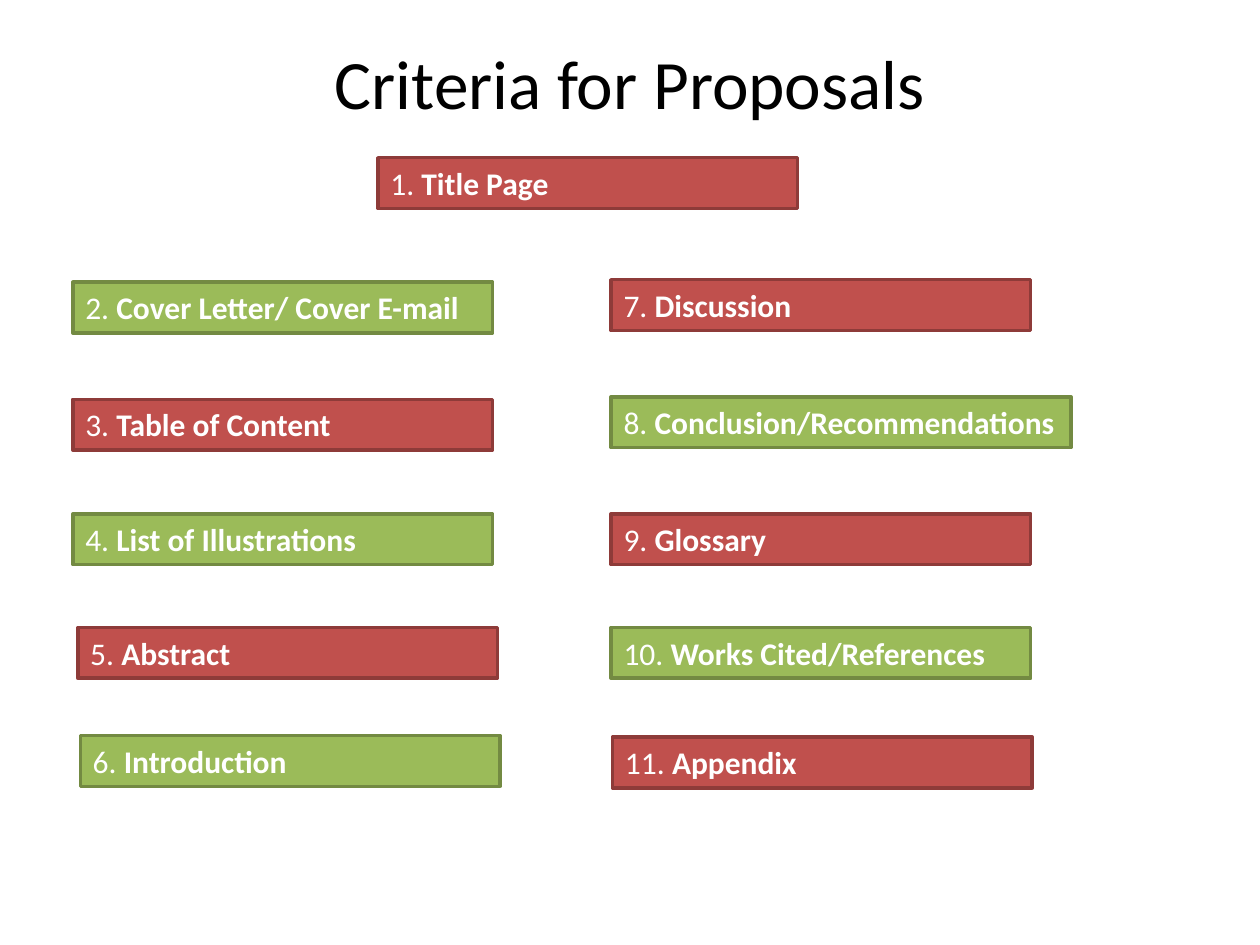
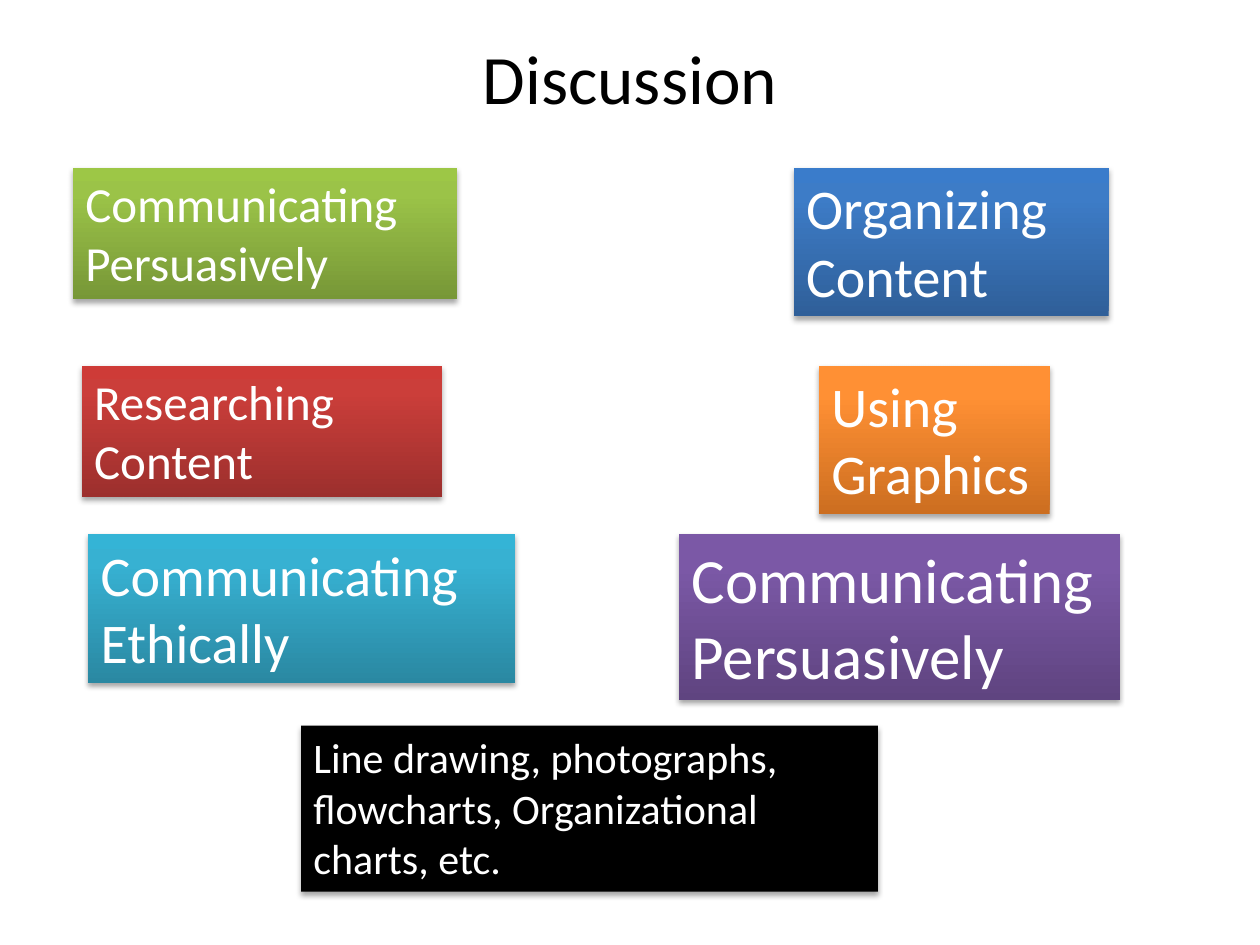
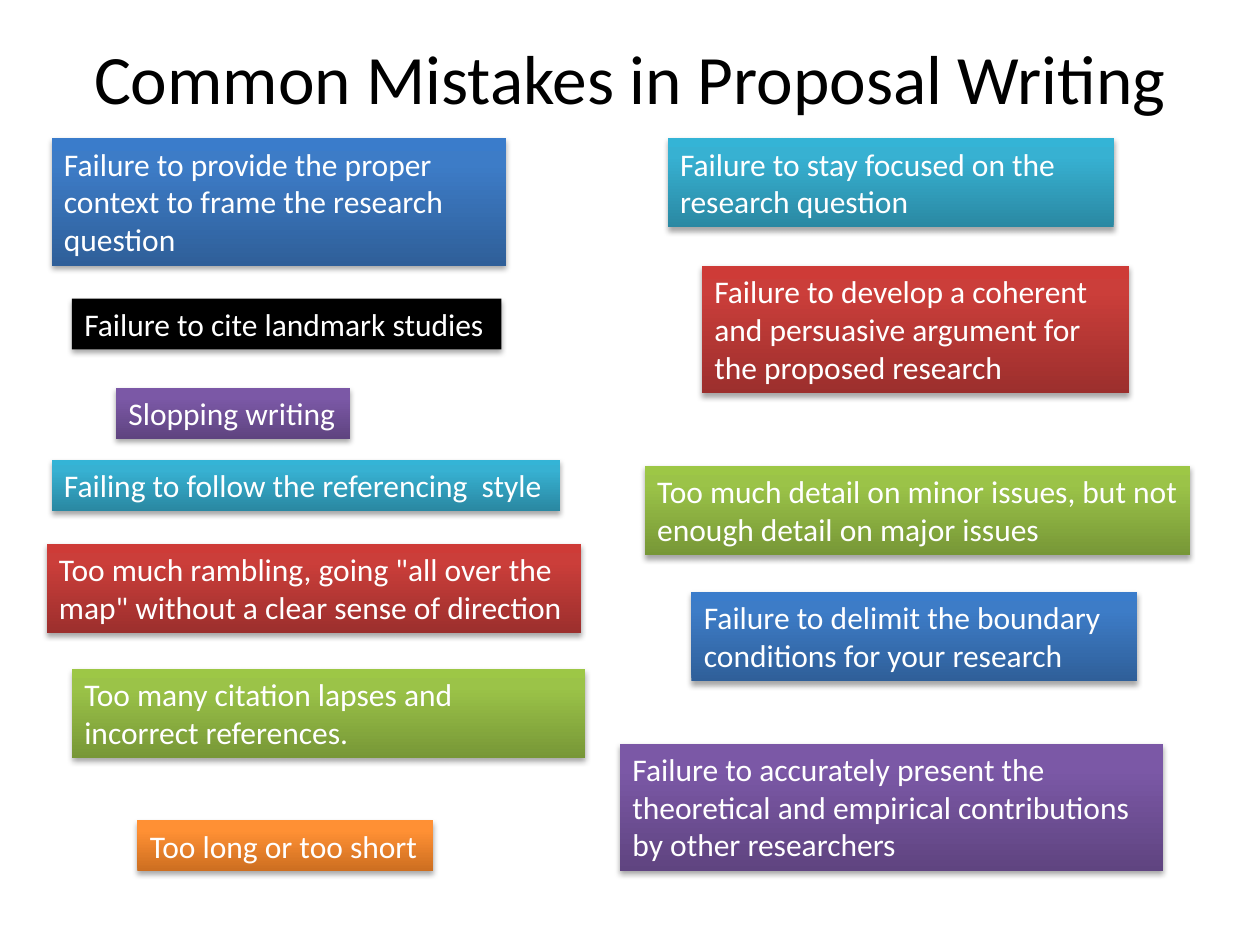
import pptx
import pptx.dml.color
import pptx.enum.shapes
import pptx.enum.text
import pptx.oxml
import pptx.oxml.ns
import pptx.util
from pptx.util import Cm

FONT = "Calibri"
INK = "000000"
WHITE = "FFFFFF"
RED = ("C0504D", "8E3B39")
GREEN = ("9BBB59", "738A42")
TONES = {
    "green": ("779737", "9BC348", "9DC746"),
    "red": ("9C2F2D", "CB3E3A", "CE3B37"),
    "orange": ("CC6E20", "FF9034", "FF9136"),
    "purple": ("5F4480", "7B58A6", "7C57A8"),
    "cyan": ("2A88A2", "37B1D2", "34B4D6"),
    "blue": ("2F5F99", "3D7CC7", "3A7CCB"),
}
STOPS = (0, 80000, 100000)
LEFT = pptx.enum.text.PP_ALIGN.LEFT
CENTER = pptx.enum.text.PP_ALIGN.CENTER


def paint(hue):
    return pptx.dml.color.RGBColor.from_string(hue)


def write(frame, *parts, size=18, color=WHITE, align=LEFT, bold=False, wrap=True):
    frame.word_wrap = wrap
    frame.vertical_anchor = pptx.enum.text.MSO_ANCHOR.TOP
    para = frame.paragraphs[0]
    para.alignment = align
    for index, part in enumerate(parts):
        run = para.add_run()
        run.text = part
        run.font.name = FONT
        run.font.size = pptx.util.Pt(size)
        run.font.color.rgb = paint(color)
        run.font.bold = bold and index == len(parts) - 1


def tall(lines, size):
    return 0.25 + lines * size * 0.043


def block(slide, box):
    kind = pptx.enum.shapes.MSO_SHAPE.RECTANGLE
    shape = slide.shapes.add_shape(kind, *map(Cm, box))
    shape.shadow.inherit = False
    shape.text_frame.auto_size = pptx.enum.text.MSO_AUTO_SIZE.SHAPE_TO_FIT_TEXT
    return shape


def element(xml):
    return pptx.oxml.parse_xml(xml.replace(">", f" {pptx.oxml.ns.nsdecls('a')}>", 1))


def shade(shape, tone):
    stops = "".join(
        f'<a:gs pos="{place}"><a:srgbClr val="{hue}"/></a:gs>'
        for place, hue in zip(STOPS, TONES[tone])
    )
    fill = element(
        f'<a:gradFill rotWithShape="1"><a:gsLst>{stops}</a:gsLst>'
        '<a:lin ang="16200000" scaled="0"/></a:gradFill>'
    )
    shape._element.spPr.find(pptx.oxml.ns.qn("a:prstGeom")).addnext(fill)


def drop(shape):
    glow = shape._element.spPr.find(pptx.oxml.ns.qn("a:effectLst"))
    glow.append(element(
        '<a:outerShdw blurRad="40000" dist="23000" dir="5400000" rotWithShape="0">'
        f'<a:srgbClr val="{INK}"><a:alpha val="35000"/></a:srgbClr></a:outerShdw>'
    ))


def title(slide, text, height=1.57):
    frame = slide.shapes.add_textbox(*map(Cm, (1.27, 0.76, 22.86, height))).text_frame
    write(frame, text, size=39.6, color=INK, align=CENTER)
    frame.vertical_anchor = pptx.enum.text.MSO_ANCHOR.MIDDLE


def column(slide, box, first, items):
    left, top, width = box
    for number, (label, right, down, extra) in enumerate(items, first):
        shape = block(slide, (left + right, top + down, width + extra, tall(1, 18)))
        fill, edge = RED if number % 2 else GREEN
        shape.fill.solid()
        shape.fill.fore_color.rgb = paint(fill)
        shape.line.color.rgb = paint(edge)
        shape.line.width = pptx.util.Pt(2)
        write(shape.text_frame, f"{number}. ", label, bold=True)


def tiles(slide, box, items):
    left, top = box
    for tone, text, right, down, width, lines, size in items:
        shape = block(slide, (left + right, top + down, width, tall(lines, size)))
        shape.line.fill.background()
        if tone in TONES:
            shade(shape, tone)
        else:
            shape.fill.solid()
            shape.fill.fore_color.rgb = paint(INK)
        drop(shape)
        write(shape.text_frame, text, size=size, wrap=lines > 1)


def notes(slide, box, items):
    tiles(slide, box, [(*item, 18) for item in items])


def criteria(slide):
    title(slide, "Criteria for Proposals", 1.78)
    column(slide, (7.62, 3.18, 8.46), 1, [("Title Page", 0, 0, 0)])
    column(slide, (1.47, 5.69, 8.46), 2, [
        ("Cover Letter/ Cover E-mail", 0, 0, 0),
        ("Table of Content", 0, 2.36, 0),
        ("List of Illustrations", 0, 4.67, 0),
        ("Abstract", 0.1, 6.96, 0),
        ("Introduction", 0.15, 9.14, 0),
    ])
    column(slide, (12.32, 5.64, 8.46), 7, [
        ("Discussion", 0, 0, 0),
        ("Conclusion/Recommendations", 0, 2.36, 0.81),
        ("Glossary", 0, 4.72, 0),
        ("Works Cited/References", 0, 7.01, 0),
        ("Appendix", 0.03, 9.22, 0),
    ])


def talk(slide):
    title(slide, "Discussion")
    tiles(slide, (1.47, 3.38), [
        ("green", "Communicating Persuasively", 0, 0, 7.75, 2, 28),
        ("red", "Researching Content", 0.18, 3.99, 7.26, 2, 28),
        ("cyan", "Communicating Ethically", 0.31, 7.39, 8.61, 2, 32),
        ("blue", "Organizing Content", 14.53, 0, 6.35, 2, 32),
        ("orange", "Using Graphics", 15.04, 3.99, 4.65, 2, 32),
        ("purple", "Communicating Persuasively", 12.22, 7.39, 8.89, 2, 36),
        ("black", "Line drawing, photographs, flowcharts, Organizational charts, etc.",
         4.6, 11.25, 11.63, 3, 24),
    ])


def mistakes(slide):
    title(slide, "Common Mistakes in Proposal Writing")
    notes(slide, (0.94, 2.79), [
        ("blue", "Failure to provide the proper context to frame the research question",
         0.1, 0, 9.17, 3),
        ("black", "Failure to cite landmark studies", 0.51, 3.23, 8.66, 1),
        ("purple", "Slopping writing", 1.4, 5.03, 4.72, 1),
        ("cyan", "Failing to follow the referencing  style", 0.1, 6.48, 10.26, 1),
        ("red", 'Too much rambling, going "all over the map" without a clear sense of direction',
         0, 8.18, 10.77, 2),
        ("green", "Too many citation lapses and incorrect references.", 0.51, 10.7, 10.34, 2),
        ("orange", "Too long or too short", 1.83, 13.75, 5.97, 1),
    ])
    notes(slide, (12.5, 2.79), [
        ("cyan", "Failure to stay focused on the research question", 0.96, 0, 8.99, 2),
        ("red", "Failure to develop a coherent and persuasive argument for the proposed research",
         1.65, 2.57, 8.61, 3),
        ("green", "Too much detail on minor issues, but not enough detail on major issues",
         0.5, 6.61, 11, 2),
        ("blue", "Failure to delimit the boundary conditions for your research",
         1.44, 9.15, 8.99, 2),
        ("purple", "Failure to accurately present the theoretical and empirical contributions "
         "by other researchers", 0, 12.2, 10.95, 3),
    ])


def main():
    deck = pptx.Presentation()
    deck.slide_width = Cm(25.4)
    deck.slide_height = Cm(19.05)
    for build in (criteria, talk, mistakes):
        build(deck.slides.add_slide(deck.slide_layouts[6]))
    deck.save("out.pptx")


if __name__ == "__main__":
    main()
